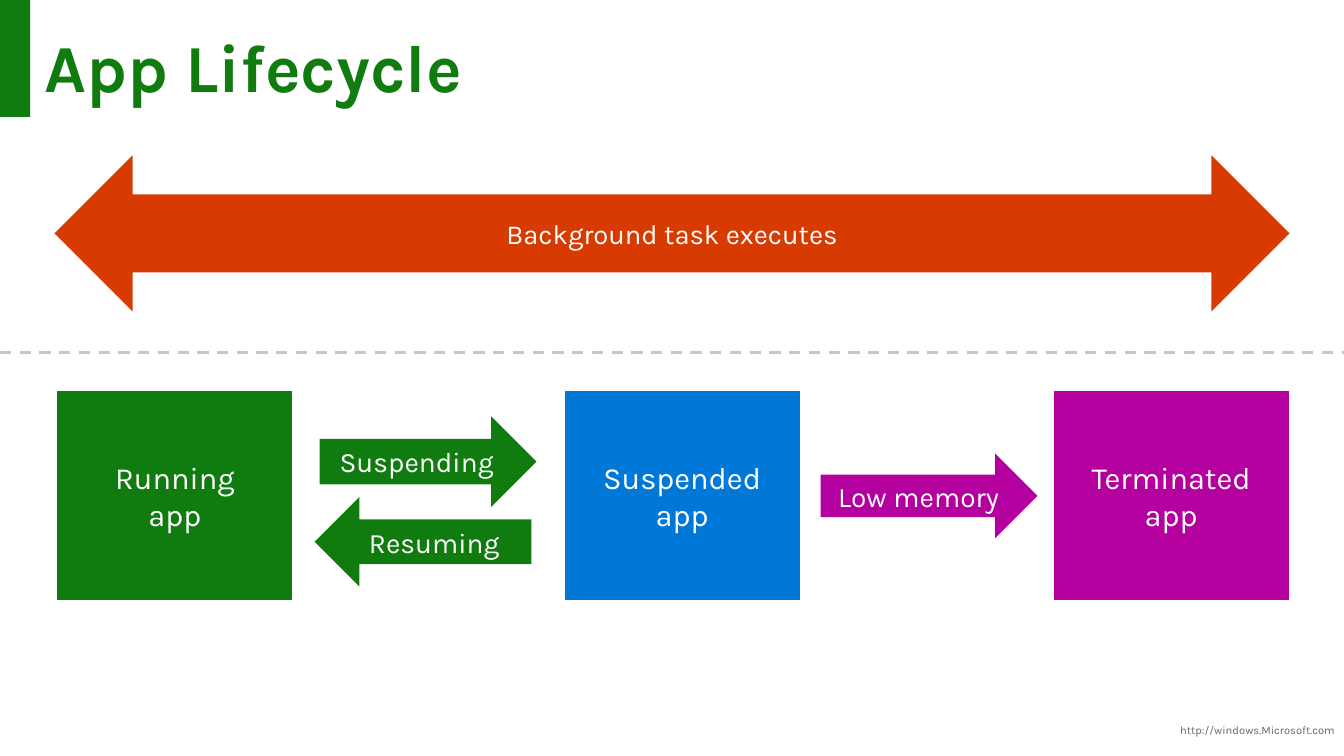
from lxml.etree import SubElement
from pptx import Presentation
from pptx.dml.color import RGBColor
from pptx.enum.dml import MSO_LINE
from pptx.enum.shapes import MSO_CONNECTOR, MSO_SHAPE
from pptx.enum.text import MSO_ANCHOR, PP_ALIGN
from pptx.oxml.ns import qn
from pptx.util import Inches, Pt

COLORS = {
    "green": "107C10",
    "blue": "0078D7",
    "purple": "B4009E",
    "orange": "D83B01",
    "white": "FFFFFF",
    "gray": "666666",
    "rule": "C7C7C7",
}
FONT = "Karla"
SLIDE_W, SLIDE_H = 13.33, 7.5


def rgb(name):
    """Return the named colour."""
    return RGBColor.from_string(COLORS[name])


def write(tf, lines, size, color, align, anchor, insets, bold=False, spacing=None):
    """Fill a text frame with one paragraph per line."""
    left, top = (Inches(v) for v in insets)
    frame = {
        "word_wrap": True,
        "vertical_anchor": anchor,
        "margin_left": left,
        "margin_right": left,
        "margin_top": top,
        "margin_bottom": top,
    }
    for key, value in frame.items():
        setattr(tf, key, value)
    for i, line in enumerate(lines):
        p = tf.paragraphs[0] if i == 0 else tf.add_paragraph()
        p.alignment = align
        p.line_spacing = spacing
        r = p.add_run()
        r.text = line
        for key, value in {"name": FONT, "size": Pt(size), "bold": bold}.items():
            setattr(r.font, key, value)
        r.font.color.rgb = rgb(color)


def add_text(s, box, text, size, color, align, insets, **kw):
    """Place a text box in the given box."""
    sp = s.shapes.add_textbox(*(Inches(v) for v in box))
    write(sp.text_frame, [text], size, color, align, MSO_ANCHOR.TOP, insets, **kw)


def add_block(s, kind, box, color, lines=(), size=22, insets=(0.1, 0.05)):
    """Place a flat filled shape with centred white text."""
    sp = s.shapes.add_shape(kind, *(Inches(v) for v in box))
    sp.shadow.inherit = False
    sp.fill.solid()
    sp.fill.fore_color.rgb = rgb(color)
    sp.line.fill.background()
    write(sp.text_frame, lines, size, "white", PP_ALIGN.CENTER,
          MSO_ANCHOR.MIDDLE, insets)


def add_header(s, x, y, w, h):
    """Draw the green corner tab and the title beside it."""
    add_block(s, MSO_SHAPE.RECTANGLE, (x, y, 0.3, 1.16), "green")
    add_text(s, (x + 0.29, y + 0.22, w - 0.59, h - 0.22), "App Lifecycle", 48,
             "green", PP_ALIGN.LEFT, (0.15, 0.12), bold=True, spacing=0.9)


def add_background_task(s, x, y, w, h):
    """Draw the wide double arrow of the background task."""
    add_block(s, MSO_SHAPE.LEFT_RIGHT_ARROW, (x, y, w, h), "orange",
              ["Background task executes"], 19.6, (0, 0.05))


def add_divider(s, x, y, w):
    """Draw the dashed rule across the slide."""
    c = s.shapes.add_connector(MSO_CONNECTOR.STRAIGHT, Inches(x), Inches(y),
                               Inches(x + w), Inches(y))
    for key, value in {"width": Pt(2), "dash_style": MSO_LINE.DASH}.items():
        setattr(c.line, key, value)
    c.line.color.rgb = rgb("rule")
    SubElement(c._element.spPr, qn("a:effectLst"))


def add_states(s, x, y, w, h):
    """Draw the three app states and the transitions between them."""
    state_w, arrow_w = 2.33, 2.15
    states = [
        (0, "Running", "green"),
        (5.03, "Suspended", "blue"),
        (w - state_w, "Terminated", "purple"),
    ]
    for dx, name, color in states:
        add_block(s, MSO_SHAPE.FLOWCHART_PROCESS, (x + dx, y, state_w, h),
                  color, [name, "app"])
    transitions = [
        (MSO_SHAPE.RIGHT_ARROW, 2.6, 0.25, 0.9, "Suspending", "green"),
        (MSO_SHAPE.LEFT_ARROW, 2.55, 1.05, 0.89, "Resuming", "green"),
        (MSO_SHAPE.RIGHT_ARROW, 7.57, 0.62, 0.84, "Low memory", "purple"),
    ]
    for kind, dx, dy, arrow_h, name, color in transitions:
        add_block(s, kind, (x + dx, y + dy, arrow_w, arrow_h), color, [name], 20)


def add_footer(s, x, y, w, h):
    """Write the web address at the right."""
    add_text(s, (x, y, w, h), "http://windows.Microsoft.com", 8, "gray",
             PP_ALIGN.RIGHT, (0.1, 0.05))


def main():
    """Build the slide and save it."""
    prs = Presentation()
    prs.slide_width, prs.slide_height = Inches(SLIDE_W), Inches(SLIDE_H)
    s = prs.slides.add_slide(prs.slide_layouts[6])
    add_footer(s, 11.52, 7.13, 1.82, 0.33)
    add_header(s, 0, 0, SLIDE_W, 1.29)
    add_background_task(s, 0.54, 1.54, 12.25, 1.55)
    add_divider(s, 0, 3.5, SLIDE_W)
    add_states(s, 0.57, 3.88, 12.21, 2.07)
    prs.save("out.pptx")


if __name__ == "__main__":
    main()
